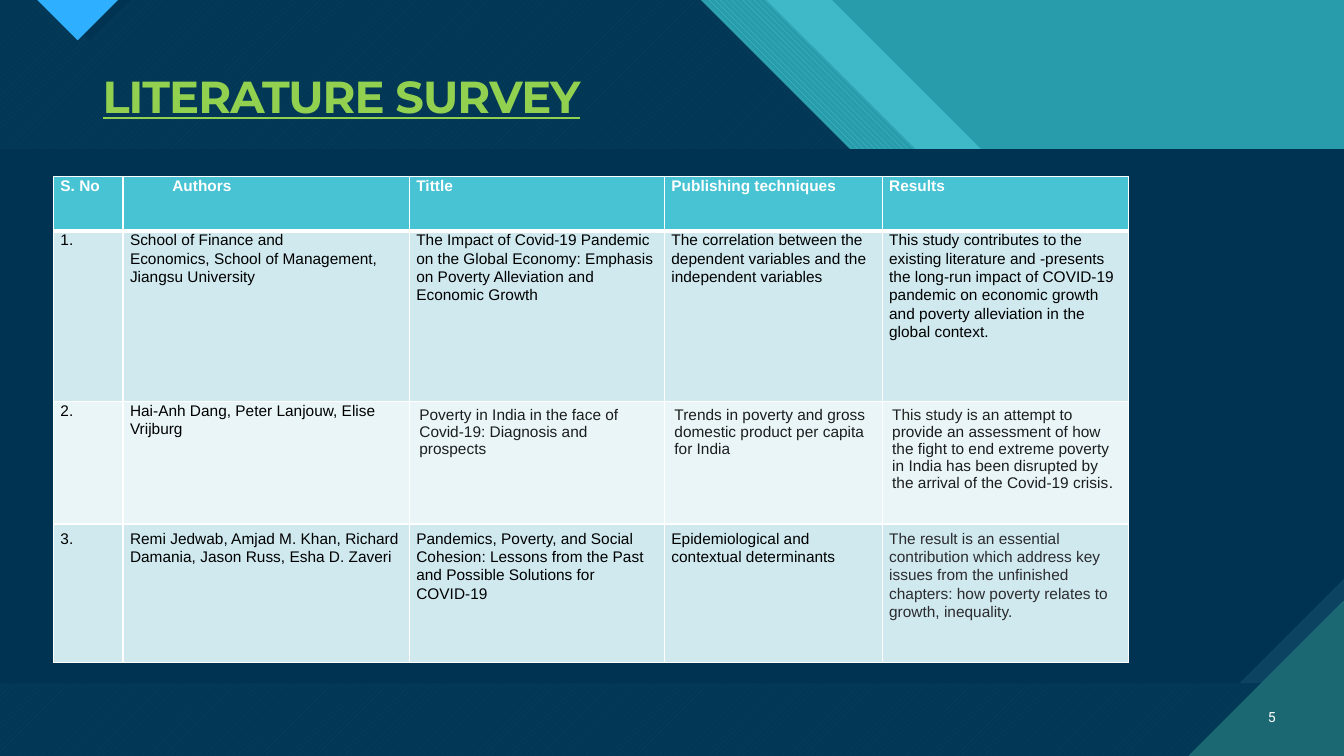
import lxml.etree
import pptx
import pptx.dml.color
import pptx.enum.dml
import pptx.enum.text
import pptx.oxml.ns
import pptx.util

Inches = pptx.util.Inches
Pt = pptx.util.Pt
RGB = pptx.dml.color.RGBColor
PATTERN = pptx.enum.dml.MSO_PATTERN
ANCHOR = pptx.enum.text.MSO_ANCHOR
ALIGN = pptx.enum.text.PP_ALIGN
qn = pptx.oxml.ns.qn

WIDTH, HEIGHT = 13.33, 7.5
NAVY = RGB(0x00, 0x33, 0x52)
STEEL = RGB(0x0C, 0x43, 0x60)
PINE = RGB(0x1B, 0x68, 0x72)
TEAL = RGB(0x29, 0x9C, 0xAB)
AQUA = RGB(0x47, 0xC3, 0xD3)
SKY = RGB(0x2F, 0xAF, 0xFF)
LIME = RGB(0x92, 0xD0, 0x50)
PALE = RGB(0xCF, 0xE9, 0xEF)
PALER = RGB(0xE9, 0xF5, 0xF7)
WHITE = RGB(0xFF, 0xFF, 0xFF)
BLACK = RGB(0x00, 0x00, 0x00)
INK = RGB(0x1C, 0x1D, 0x1E)
GREY = RGB(0x22, 0x22, 0x22)
SLATE = RGB(0x2B, 0x2B, 0x2E)

COLUMNS = [0.69, 2.84, 2.53, 2.16, 2.44]
ROWS = [0.54, 1.69, 1.22, 1.37]
ROW_FILLS = [AQUA, PALE, PALER, PALE]
AUTHORS_INDENT = 0.42
HEADER = ["S. No", "Authors", "Tittle", "Publishing techniques", "Results"]
# A cell is a string, or a list of (text, colour) spans.
STUDIES = [
    ["1.",
     "School of Finance and\nEconomics, School of Management,\nJiangsu University",
     "The Impact of Covid-19 Pandemic on the Global Economy: Emphasis on "
     "Poverty Alleviation and Economic Growth",
     "The correlation between the dependent variables and the independent variables",
     "This study contributes to the existing literature and -presents the long-run "
     "impact of COVID-19 pandemic on economic growth and poverty alleviation in the "
     "global context."],
    ["2.",
     "Hai-Anh Dang, Peter Lanjouw, Elise Vrijburg",
     [("Poverty in India in the face of Covid-19: Diagnosis and prospects", INK)],
     [("Trends in poverty and gross domestic product per capita for India", INK)],
     [("This study is an ", GREY),
      ("attempt to provide an assessment of how the fight to end extreme poverty in "
       "India has been disrupted by the arrival of the Covid-19 crisis", INK),
      (".", BLACK)]],
    ["3.",
     "Remi Jedwab, Amjad M. Khan, Richard Damania, Jason Russ, Esha D. Zaveri",
     "Pandemics, Poverty, and Social Cohesion: Lessons from the Past and Possible "
     "Solutions for COVID-19",
     "Epidemiological and contextual determinants",
     [("The result is an essential contribution which address key issues from the "
       "unfinished chapters: how poverty relates to growth, inequality.", SLATE)]],
]


def set_all(target, values):
    for name, value in values.items():
        setattr(target, name, value)


def add_span(para, text, colour, **font):
    span = para.add_run()
    span.text = text
    set_all(span.font, font)
    span.font.color.rgb = colour
    return span


def add_polygon(page, points, colour, pattern=None, back=None, opacity=100):
    """Draw a borderless outline, solid or patterned."""
    corners = [(Inches(x), Inches(y)) for x, y in points]
    builder = page.shapes.build_freeform(*corners[0])
    builder.add_line_segments(corners[1:], close=True)
    shape = builder.convert_to_shape()
    shape.shadow.inherit = False
    shape.line.fill.background()
    if pattern is None:
        shape.fill.solid()
        shape.fill.fore_color.rgb = colour
    else:
        shape.fill.patterned()
        shape.fill.pattern = pattern
        shape.fill.fore_color.rgb = colour
        shape.fill.back_color.rgb = back
    if opacity < 100:
        solid = shape._element.spPr.find(qn("a:solidFill"))
        alpha = lxml.etree.SubElement(solid[0], qn("a:alpha"))
        alpha.set("val", str(opacity * 1000))


def add_backdrop(page, width, height):
    """Stack layers that each end in the same 45 degree edge."""
    page.background.fill.solid()
    page.background.fill.fore_color.rgb = TEAL
    layers = [
        (8.25, {"colour": AQUA, "opacity": 74}),
        (7.6, {"colour": AQUA, "pattern": PATTERN.WIDE_DOWNWARD_DIAGONAL, "back": TEAL}),
        (6.95, {"colour": AQUA, "pattern": PATTERN.WIDE_UPWARD_DIAGONAL, "back": PINE}),
        (6.95, {"colour": NAVY, "opacity": 90}),
    ]
    for edge, fill in layers:
        outline = [(0, 0), (edge, 0), (width, width - edge), (width, height), (0, height)]
        add_polygon(page, outline, **fill)


def add_top_marker(page, left, size):
    """Hang a triangle from the top edge, with a darker one behind it."""
    for offset, fill in [
        (0.12, {"colour": NAVY}),
        (0, {"colour": SKY, "pattern": PATTERN.DARK_HORIZONTAL, "back": PINE}),
    ]:
        start = left + offset
        add_polygon(page, [(start, 0), (start + size, 0), (start + size / 2, size / 2)], **fill)


def add_content_band(page, left, top, width, height):
    right, bottom = left + width, top + height
    for snip, fill in [
        (0, {"colour": STEEL, "pattern": PATTERN.DARK_VERTICAL, "back": PINE}),
        (1.04, {"colour": NAVY}),
    ]:
        outline = [(left, top), (right, top), (right, bottom - snip),
                   (right - snip, bottom), (left, bottom)]
        add_polygon(page, outline, **fill)


def add_corner(page, right, bottom, size):
    outline = [(right - size, bottom), (right, bottom), (right, bottom - size)]
    add_polygon(page, outline, PINE, PATTERN.DARK_HORIZONTAL, AQUA)


def add_label(page, box, text, colour, frame_format, para_format, **font):
    frame = page.shapes.add_textbox(*map(Inches, box)).text_frame
    set_all(frame, {"word_wrap": True, **frame_format})
    para = frame.paragraphs[0]
    set_all(para, para_format)
    return add_span(para, text, colour, **font)


def add_border(cell, side, points):
    line = lxml.etree.SubElement(cell._tc.get_or_add_tcPr(), qn("a:" + side))
    line.set("w", str(Pt(points)))
    solid = lxml.etree.SubElement(line, qn("a:solidFill"))
    lxml.etree.SubElement(solid, qn("a:srgbClr")).set("val", str(WHITE))


def fill_cell(cell, content, row):
    tinted = isinstance(content, list) and row == 2
    inset = 0.05 if tinted or row == 3 else 0
    margin = Inches(0.1 if tinted else 0.07)
    set_all(cell, {"margin_left": margin, "margin_right": margin,
                   "margin_top": Inches(inset), "margin_bottom": Inches(inset)})
    para = cell.text_frame.paragraphs[0]
    if not tinted:
        set_all(para, {"line_spacing": 1.07, "space_after": Pt(8)})
    if isinstance(content, str):
        content = [(content, BLACK if row else WHITE)]
    for text, colour in content:
        for number, line in enumerate(text.split("\n")):
            if number:
                para.add_line_break()
            add_span(para, line, colour, name="Arial", size=Pt(11), bold=row == 0)
    for side in ("lnL", "lnR", "lnT", "lnB"):
        heavy = (row, side) in ((0, "lnB"), (1, "lnT"))
        add_border(cell, side, 3 if heavy else 1)
    cell.fill.solid()
    cell.fill.fore_color.rgb = ROW_FILLS[row]


def add_survey_table(page, left, top):
    box = map(Inches, (left, top, sum(COLUMNS), sum(ROWS)))
    table = page.shapes.add_table(len(ROWS), len(COLUMNS), *box).table
    for column, width in zip(table.columns, COLUMNS):
        column.width = Inches(width)
    for row, height in zip(table.rows, ROWS):
        row.height = Inches(height)
    for row, contents in enumerate([HEADER] + STUDIES):
        for column, content in enumerate(contents):
            fill_cell(table.cell(row, column), content, row)
    authors = table.cell(0, 1).text_frame.paragraphs[0]
    authors._p.get_or_add_pPr().set("marL", str(Inches(AUTHORS_INDENT)))


def main():
    deck = pptx.Presentation()
    set_all(deck, {"slide_width": Inches(WIDTH), "slide_height": Inches(HEIGHT)})
    page = deck.slides.add_slide(deck.slide_layouts[6])
    add_backdrop(page, WIDTH, HEIGHT)
    add_top_marker(page, 0.37, 0.8)
    add_content_band(page, 0, 1.48, WIDTH, 5.3)
    add_corner(page, WIDTH, HEIGHT, 1.54)
    title = add_label(page, (0.92, 0.69, 12.26, 0.59), "LITERATURE SURVEY", LIME,
                      {}, {"line_spacing": 0.9},
                      name="Montserrat", size=Pt(32), bold=True, underline=True)
    title._r.get_or_add_rPr().set("spc", "-70")
    add_label(page, (12.31, 6.91, 0.44, 0.4), "5", WHITE,
              {"vertical_anchor": ANCHOR.MIDDLE}, {"alignment": ALIGN.RIGHT},
              name="Roboto", size=Pt(10))
    add_survey_table(page, 0.53, 1.75)
    deck.save("out.pptx")


if __name__ == "__main__":
    main()
